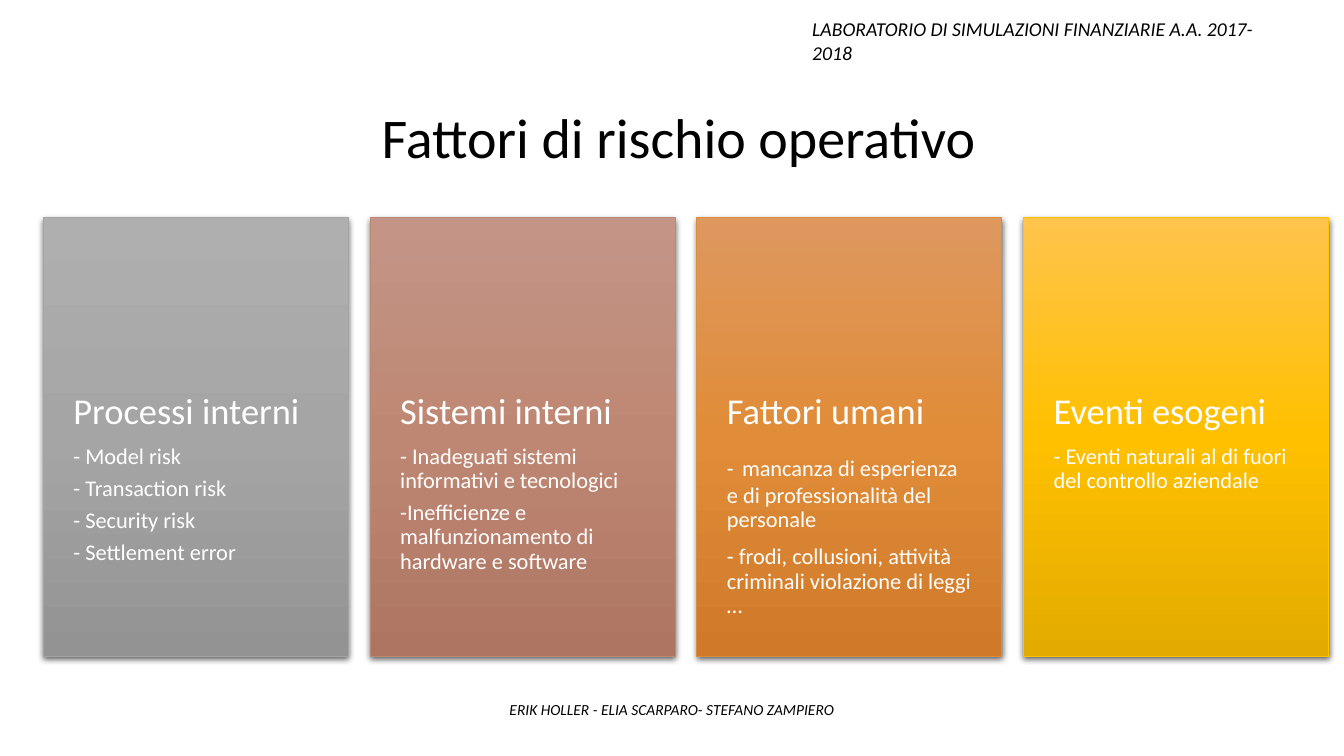
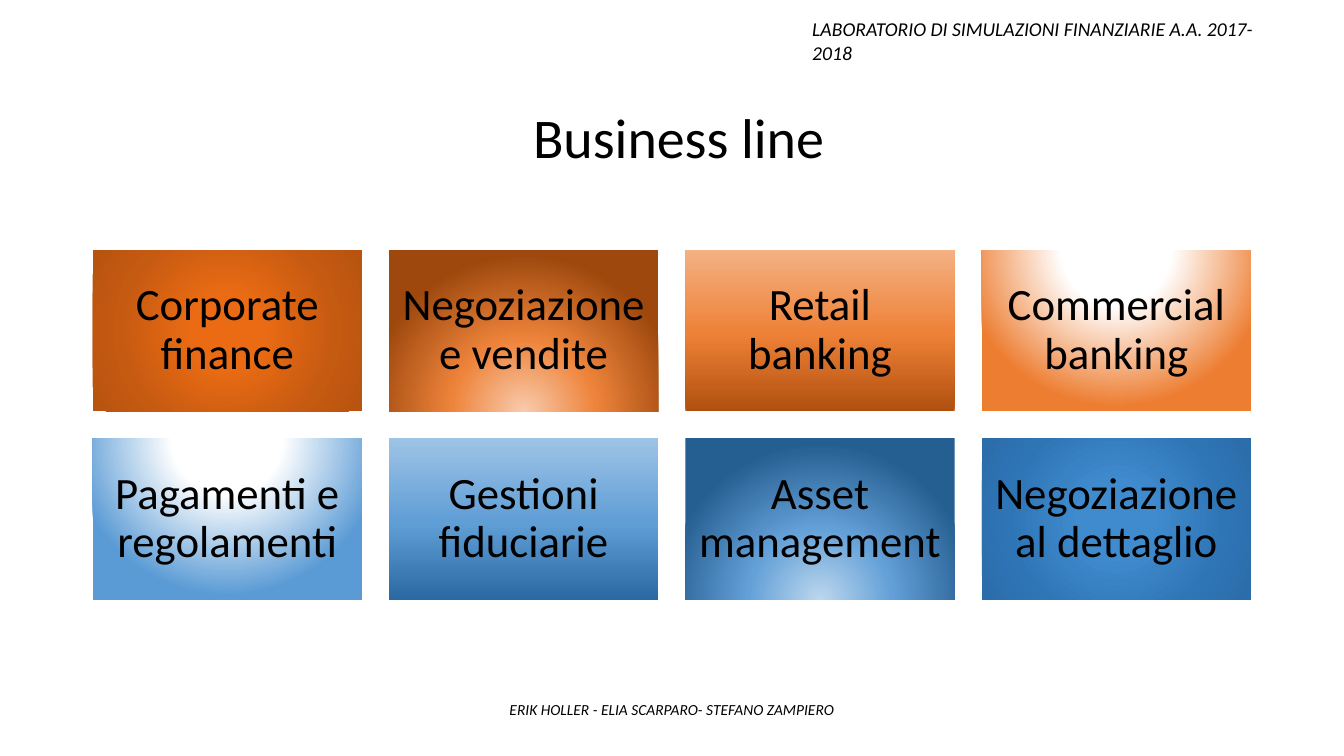
from dataclasses import dataclass
from typing import NamedTuple, Optional

from lxml.etree import SubElement
from pptx import Presentation
from pptx.dml.color import RGBColor
from pptx.enum.shapes import MSO_SHAPE
from pptx.enum.text import MSO_ANCHOR, MSO_AUTO_SIZE, PP_ALIGN
from pptx.oxml.ns import qn
from pptx.util import Inches, Pt

FONT = "Calibri"
SLIDE_W, SLIDE_H = Inches(13.333), Inches(7.5)
TITLE_ONLY = 5
BODY_SIZE, HEADING_SIZE, TILE_SIZE = 16, 26, 32
PARAGRAPH_GAP = 0.35

# Gradient entries list one hex value per stop of their finish.
COLORS = {
    "ink": "000000",
    "paper": "FFFFFF",
    "grey line": "A5A5A5",
    "clay line": "BB8A76",
    "amber line": "D98D3F",
    "gold line": "FFC000",
    "grey column": "AFAFAF A5A5A5 939393",
    "clay column": "C49587 BE8773 AD7562",
    "amber column": "DE985E E08C38 D07A29",
    "gold column": "FFC44B FFC000 E3AB00",
    "orange core": "EA6B14 EA6B14 C55A11 B85410",
    "orange rise": "F8CBAD EE843B 9E480E",
    "orange sheet": "B0500F EE8137 F4B183",
    "orange dome": "FFFFFF FFFFFF ED7D31",
    "blue core": "408BCE 408BCE 2E75B6 2B6DA9",
    "blue rise": "BDD7EE 63A0D7 255E91",
    "blue sheet": "2A69A2 609ED6 9DC3E6",
    "blue dome": "FFFFFF FFFFFF 5B9BD5",
}


class Box(NamedTuple):
    """Left, top, width and height in percent of the slide."""
    left: float
    top: float
    width: float
    height: float

    def emu(self) -> tuple:
        """Return the box in EMU."""
        sides = (SLIDE_W, SLIDE_H, SLIDE_W, SLIDE_H)
        return tuple(round(share * side / 100) for share, side in zip(self, sides))


@dataclass(frozen=True)
class Grid:
    """Equal cells with equal gaps, starting at the first cell."""
    first: Box
    gap_x: float
    gap_y: float = 0

    def cell(self, col: int, row: int = 0) -> Box:
        """Return the box of one cell."""
        left, top, width, height = self.first
        return Box(left + col * (width + self.gap_x),
                   top + row * (height + self.gap_y), width, height)


class Finish(NamedTuple):
    """Gradient geometry: stop positions, and an angle or a focus (l, t, r, b)."""
    stops: tuple
    angle: int = 0
    focus: Optional[tuple] = None


class Piece(NamedTuple):
    """A stretch of text in one size."""
    text: str
    size: int = BODY_SIZE


class Card(NamedTuple):
    """A risk factor with its examples."""
    color: str
    heading: str
    examples: tuple


class Tile(NamedTuple):
    """A business line and its fill."""
    text: str
    fill: str


class Caption(NamedTuple):
    """A line of text repeated on every slide."""
    text: str
    box: Box
    size: int
    align: PP_ALIGN


FINISHES = {
    "column": Finish((0, 50, 100), angle=90),
    "core": Finish((0, 23, 69, 97), focus=(50, 50, 50, 50)),
    "rise": Finish((0, 46, 100), focus=(50, 130, 50, -30)),
    "sheet": Finish((0, 48, 100), angle=270),
    "dome": Finish((0, 35, 100), focus=(50, -80, 50, 180)),
}

TITLE_BOX = Box(6.9, 3.87, 86.25, 19.33)
CARD_GRID = Grid(Box(3.22, 28.8, 22.7, 58), gap_x=1.61)
TILE_GRID = Grid(Box(6.9, 33.07, 20.03, 21.33), gap_x=2.02, gap_y=3.6)
CARD_INSETS = (0.3, 1.74, 0.3, 0.36)
TILE_INSETS = (0.13,) * 4

CAPTIONS = (
    Caption("ERIK HOLLER - ELIA SCARPARO- STEFANO ZAMPIERO",
            Box(9.6, 92, 80.8, 3.87), 11, PP_ALIGN.CENTER),
    Caption("LABORATORIO DI SIMULAZIONI FINANZIARIE A.A. 2017-2018",
            Box(59.7, 1.6, 37.1, 4.53), 14, PP_ALIGN.LEFT),
)

CARDS = (
    Card("grey", "Processi interni", (
        (Piece("- Model risk"),),
        (Piece("- Transaction risk"),),
        (Piece("- Security risk"),),
        (Piece("- Settlement error"),),
    )),
    Card("clay", "Sistemi interni", (
        (Piece("- Inadeguati sistemi informativi e tecnologici"),),
        (Piece("-Inefficienze e malfunzionamento di hardware e software"),),
    )),
    Card("amber", "Fattori umani", (
        (Piece("-"), Piece(" ", HEADING_SIZE),
         Piece("mancanza di esperienza e di professionalità del personale")),
        (Piece("- frodi, collusioni, attività criminali violazione di leggi …"),),
    )),
    Card("gold", "Eventi esogeni", (
        (Piece("- Eventi naturali al di fuori del controllo aziendale"),),
    )),
)

TILE_ROWS = (
    (Tile("Corporate finance", "orange core"),
     Tile("Negoziazione e vendite", "orange rise"),
     Tile("Retail banking", "orange sheet"),
     Tile("Commercial banking", "orange dome")),
    (Tile("Pagamenti e regolamenti", "blue dome"),
     Tile("Gestioni fiduciarie", "blue sheet"),
     Tile("Asset management", "blue rise"),
     Tile("Negoziazione al dettaglio", "blue core")),
)


def rgb(name: str) -> RGBColor:
    """Return a named colour."""
    return RGBColor.from_string(COLORS[name])


def style_paragraph(p, size: int, color: str, align: PP_ALIGN, italic: bool = False) -> None:
    """Set the font and alignment of a whole paragraph."""
    p.alignment = align
    p.font.name, p.font.size, p.font.italic = FONT, Pt(size), italic
    p.font.color.rgb = rgb(color)


def write_paragraphs(tf, paragraphs: tuple, color: str, align: PP_ALIGN) -> None:
    """Fill a text frame with paragraphs made of pieces."""
    for i, pieces in enumerate(paragraphs):
        p = tf.add_paragraph() if i else tf.paragraphs[0]
        base = pieces[0].size
        for piece in pieces:
            r = p.add_run()
            r.text = piece.text
            if piece.size != base:
                r.font.size = Pt(piece.size)
        style_paragraph(p, base, color, align)
        p.line_spacing = 0.9
        p.space_after = Pt(PARAGRAPH_GAP * max(piece.size for piece in pieces))


def fill_gradient(s, name: str) -> None:
    """Give a shape the gradient called 'colour finish'."""
    finish = FINISHES[name.split()[1]]
    sp_pr = s._element.spPr
    grad = SubElement(sp_pr, qn("a:gradFill"), rotWithShape="1")
    stops = SubElement(grad, qn("a:gsLst"))
    for position, color in zip(finish.stops, COLORS[name].split()):
        stop = SubElement(stops, qn("a:gs"), pos=str(position * 1000))
        SubElement(stop, qn("a:srgbClr"), val=color)
    if finish.focus:
        radial = SubElement(grad, qn("a:path"), {"path": "circle"})
        SubElement(radial, qn("a:fillToRect"),
                   {side: str(v * 1000) for side, v in zip("ltrb", finish.focus)})
    else:
        SubElement(grad, qn("a:lin"), ang=str(finish.angle * 60000), scaled="0")
    sp_pr.find(qn("a:prstGeom")).addnext(grad)


def add_shadow(s) -> None:
    """Drop a soft shadow straight below a shape."""
    effects = s._element.spPr.find(qn("a:effectLst"))
    shadow = SubElement(effects, qn("a:outerShdw"), blurRad=str(int(Pt(4.5))),
                        dist=str(int(Pt(1.5))), dir="5400000", algn="ctr", rotWithShape="0")
    color = SubElement(shadow, qn("a:srgbClr"), val=COLORS["ink"])
    SubElement(color, qn("a:alpha"), val="63000")


def add_panel(slide, box: Box, fill: str, insets: tuple, anchor: MSO_ANCHOR):
    """Add a gradient rectangle that is ready for text."""
    s = slide.shapes.add_shape(MSO_SHAPE.RECTANGLE, *box.emu())
    s.shadow.inherit = False
    fill_gradient(s, fill)
    s.line.fill.background()
    tf = s.text_frame
    tf.word_wrap, tf.vertical_anchor = True, anchor
    (tf.margin_left, tf.margin_top,
     tf.margin_right, tf.margin_bottom) = map(Inches, insets)
    return s


def add_card(slide, card: Card, box: Box) -> None:
    """Draw one risk factor."""
    s = add_panel(slide, box, f"{card.color} column", CARD_INSETS, MSO_ANCHOR.TOP)
    s.line.color.rgb = rgb(f"{card.color} line")
    s.line.width = Pt(0.5)
    add_shadow(s)
    heading = (Piece(card.heading, HEADING_SIZE),)
    write_paragraphs(s.text_frame, (heading, *card.examples), "paper", PP_ALIGN.LEFT)


def add_tile(slide, tile: Tile, box: Box) -> None:
    """Draw one business line."""
    s = add_panel(slide, box, tile.fill, TILE_INSETS, MSO_ANCHOR.MIDDLE)
    write_paragraphs(s.text_frame, ((Piece(tile.text, TILE_SIZE),),), "ink", PP_ALIGN.CENTER)


def add_caption(slide, caption: Caption) -> None:
    """Draw a header or footer line."""
    tf = slide.shapes.add_textbox(*caption.box.emu()).text_frame
    tf.word_wrap = True
    p = tf.paragraphs[0]
    p.text = caption.text
    style_paragraph(p, caption.size, "ink", caption.align, italic=True)


def add_titled_slide(prs, title: str):
    """Add a slide with its title, header and footer."""
    slide = prs.slides.add_slide(prs.slide_layouts[TITLE_ONLY])
    s = slide.shapes.title
    s.left, s.top, s.width, s.height = TITLE_BOX.emu()
    tf = s.text_frame
    tf.text = title
    tf.auto_size, tf.vertical_anchor = MSO_AUTO_SIZE.NONE, MSO_ANCHOR.BOTTOM
    p = tf.paragraphs[0]
    style_paragraph(p, 40, "ink", PP_ALIGN.CENTER)
    p.line_spacing = 0.9
    for caption in CAPTIONS:
        add_caption(slide, caption)
    return slide


def main() -> None:
    """Build and save the presentation."""
    prs = Presentation()
    prs.slide_width, prs.slide_height = SLIDE_W, SLIDE_H

    slide = add_titled_slide(prs, " Fattori di rischio operativo")
    for col, card in enumerate(CARDS):
        add_card(slide, card, CARD_GRID.cell(col))

    slide = add_titled_slide(prs, " Business line")
    for row, tiles in enumerate(TILE_ROWS):
        for col, tile in enumerate(tiles):
            add_tile(slide, tile, TILE_GRID.cell(col, row))

    prs.save("out.pptx")


main()
